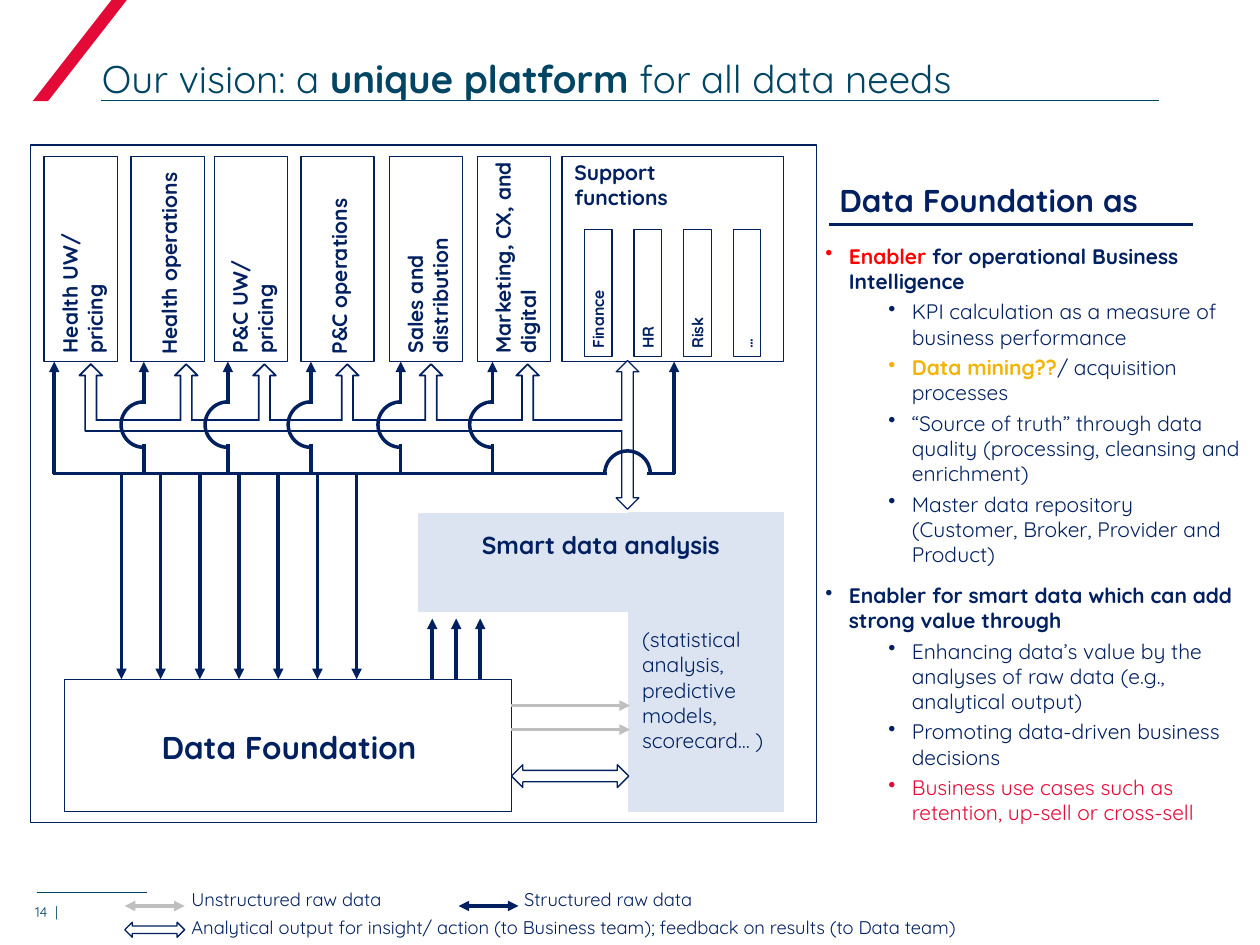
from dataclasses import dataclass
from typing import NamedTuple

from lxml.etree import SubElement
from pptx import Presentation
from pptx.dml.color import RGBColor
from pptx.enum.shapes import MSO_CONNECTOR, MSO_SHAPE as Preset
from pptx.enum.text import MSO_ANCHOR as Anchor, MSO_AUTO_SIZE as AutoSize, PP_ALIGN as Align
from pptx.oxml.ns import qn
from pptx.util import Pt


@dataclass(frozen=True)
class Theme:
    font: str = "Quicksand"
    teal: str = "004563"
    navy: str = "002060"
    crimson: str = "E40A38"
    red: str = "FF0000"
    amber: str = "F1B407"
    grey: str = "BFBFBF"
    pale: str = "DBE4F0"
    white: str = "FFFFFF"
    title: float = 22
    heading: float = 18
    subheading: float = 14
    body: float = 12
    legend: float = 10.5
    small: float = 9
    footer: float = 8


class Box(NamedTuple):
    left: float
    top: float
    width: float
    height: float


class Span(NamedTuple):
    text: str
    bold: bool = False
    color: str = Theme.navy


class Bullet(NamedTuple):
    level: int
    spans: list[Span]
    before: float = 0


class Column(NamedTuple):
    """A business function; the x values place its box and its two arrows."""
    name: str
    left: float
    raw_x: float
    output_left: float
    label_height: float


THEME = Theme()
COLUMNS = [
    Column("Health UW/ \vpricing", 25.2, 31, 45.4, 40.3),
    Column("Health operations", 74.9, 82.2, 99.9, 24.5),
    Column("P&C UW/ \vpricing", 122.4, 130.2, 144.6, 40.3),
    Column("P&C operations", 172, 177.7, 192, 24.5),
    Column("Sales and distribution", 222.5, 229, 239.8, 40.3),
    Column("Marketing, CX, and digital", 272.7, 281.4, 295, 40.3),
]
SUPPORT = ["Finance", "HR", "Risk", "…"]
BULLETS = [
    Bullet(0, [Span("Enabler", True, THEME.red),
               Span(" for operational Business Intelligence", True)]),
    Bullet(1, [Span("KPI calculation as a measure of business performance")]),
    Bullet(1, [Span("Data mining??", True, THEME.amber), Span("/ acquisition processes")]),
    Bullet(1, [Span("“Source of truth” through data quality "
                    "(processing, cleansing and enrichment)")]),
    Bullet(1, [Span("Master data repository (Customer, Broker, Provider and Product)")]),
    Bullet(0, [Span("Enabler for smart data which can add strong value through", True)], 6),
    Bullet(1, [Span("Enhancing data’s value by the analyses of raw data "
                    "(e.g., analytical output)")]),
    Bullet(1, [Span("Promoting data-driven business decisions")]),
    Bullet(1, [Span("Business use cases such as retention, up-sell or cross-sell",
                    color=THEME.crimson)]),
]
BUS_Y = 270.7
FUNCTION_BOTTOM = 206.7
FOUNDATION_TOP = 388.1

deck = Presentation()
deck.slide_width, deck.slide_height = Pt(720), Pt(540)
page = deck.slides.add_slide(deck.slide_layouts[6])


def rgb(color: str) -> RGBColor:
    return RGBColor.from_string(color)


def draw(preset, box: Box, fill: str | None = None, line: str | None = None,
         weight: float = 0.75):
    shape = page.shapes.add_shape(preset, *map(Pt, box))
    shape.shadow.inherit = False
    if fill:
        shape.fill.solid()
        shape.fill.fore_color.rgb = rgb(fill)
    else:
        shape.fill.background()
    if line:
        shape.line.color.rgb = rgb(line)
        shape.line.width = Pt(weight)
    else:
        shape.line.fill.background()
    return shape


def cover(box: Box) -> None:
    """White patch that interrupts a line."""
    draw(Preset.RECTANGLE, box, THEME.white, THEME.white)


def connect(x1: float, y1: float, x2: float, y2: float, color: str = THEME.navy,
            weight: float = 2, ends: tuple[str, ...] = ()) -> None:
    """Line with a triangle at each of ends (headEnd is the start, tailEnd the finish)."""
    line = page.shapes.add_connector(MSO_CONNECTOR.STRAIGHT, *map(Pt, (x1, y1, x2, y2)))
    line.line.color.rgb = rgb(color)
    line.line.width = Pt(weight)
    for end in ends:
        SubElement(line.line._get_or_add_ln(), qn(f"a:{end}"), type="triangle")
    SubElement(line._element.spPr, qn("a:effectLst"))


def arrow(x1: float, y1: float, x2: float, y2: float, color: str = THEME.navy) -> None:
    connect(x1, y1, x2, y2, color, ends=("tailEnd",))


def style(span, size: float, color: str, bold: bool) -> None:
    span.font.name, span.font.size, span.font.bold = THEME.font, Pt(size), bold
    span.font.color.rgb = rgb(color)


def fill_para(para, spans: list[Span], size: float) -> None:
    for item in spans:
        span = para.add_run()
        span.text = item.text
        style(span, size, item.color, item.bold)


def label(text: str, box: Box, size: float, bold: bool = True, align=Align.LEFT,
          rotation: float = 0) -> None:
    shape = draw(Preset.ROUNDED_RECTANGLE, box)
    shape.rotation = rotation
    frame = shape.text_frame
    frame.word_wrap, frame.auto_size = True, AutoSize.SHAPE_TO_FIT_TEXT
    frame.vertical_anchor = Anchor.TOP
    frame.margin_left = frame.margin_right = 0
    frame.text = text
    para = frame.paragraphs[0]
    para.alignment, para.space_after = align, Pt(9)
    for span in para.runs:
        style(span, size, THEME.navy, bold)


def upright_label(text: str, center_x: float, center_y: float, length: float,
                  height: float, size: float) -> None:
    box = Box(center_x - length / 2, center_y - height / 2, length, height)
    label(text, box, size, rotation=270)


def text_box(box: Box, margin: float = 0):
    frame = page.shapes.add_textbox(*map(Pt, box)).text_frame
    frame.word_wrap = True
    frame.margin_left = frame.margin_right = Pt(margin)
    frame.margin_top = frame.margin_bottom = Pt(margin / 2)
    return frame


def hop(x: float, y: float, rotation: float) -> None:
    """Half circle that carries a line over another one."""
    arc = draw(Preset.ARC, Box(x - 13, y - 13, 26, 26), line=THEME.navy, weight=2)
    arc.adjustments[0], arc.adjustments[1] = 106.18, 0
    arc.rotation = rotation


def draw_header() -> None:
    connect(20.9, 509.8, 84.2, 509.8, THEME.teal, 0.5)
    slash = draw(Preset.PARALLELOGRAM, Box(18.7, -1.2, 54.7, 59), THEME.crimson)
    slash.adjustments[0] = 0.84
    connect(57.6, 57.6, 662.4, 57.6, THEME.teal, 0.5)
    number = text_box(Box(4.3, 512.6, 38.2, 16.6), 7.2).paragraphs[0]
    number.alignment = Align.RIGHT
    fill_para(number, [Span("14  | ", color=THEME.teal)], THEME.footer)
    title = text_box(Box(58.3, 31, 604.8, 26.6))
    title.vertical_anchor = Anchor.BOTTOM
    fill_para(title.paragraphs[0], [Span("Our vision: a ", color=THEME.teal),
                                    Span("unique platform ", True, THEME.teal),
                                    Span("for all data needs", color=THEME.teal)], THEME.title)


def draw_platform() -> None:
    connect(30.2, BUS_Y, 385.9, BUS_Y)
    cover(Box(347, 268.6, 22.3, 5))
    draw(Preset.RECTANGLE, Box(17.3, 82.8, 449.3, 387.4), line=THEME.navy)
    draw(Preset.RECTANGLE, Box(36.7, FOUNDATION_TOP, 255.6, 75.6), line=THEME.navy)
    label("Data Foundation", Box(48.2, 411.1, 234, 32.4), THEME.heading, align=Align.CENTER)
    for block in (Box(359.3, 293, 88.6, 170.6), Box(239.4, 293.4, 140.4, 56.2)):
        draw(Preset.RECTANGLE, block, THEME.pale, THEME.pale)
    label("Smart data analysis", Box(241.2, 298.1, 204.5, 26.6), THEME.subheading,
          align=Align.CENTER)
    label("(statistical analysis, predictive models, scorecard… )",
          Box(362.9, 350.6, 82.1, 101.5), THEME.body, bold=False)
    for y in (403.2, 416.9):
        arrow(292.3, y, 360, y, THEME.grey)
    draw(Preset.LEFT_RIGHT_ARROW, Box(292.3, 437, 67, 13), THEME.white, THEME.navy)
    for i in range(3):
        arrow(247 + 13.7 * i, FOUNDATION_TOP, 247 + 13.7 * i, 353.5)
    for i in range(7):
        arrow(69.4 + 22.4 * i, BUS_Y, 69.4 + 22.4 * i, FOUNDATION_TOP)


def draw_functions() -> None:
    for column in COLUMNS:
        draw(Preset.RECTANGLE, Box(column.left, 89.3, 41.8, 117.4), THEME.white, THEME.navy)
        upright_label(column.name, column.left + 21.9, 146.9, 113.8,
                      column.label_height, THEME.body)
    draw(Preset.RECTANGLE, Box(321.1, 89.3, 126.7, 117.4), THEME.white, THEME.navy)
    label("Support \vfunctions", Box(326.2, 85.7, 157.7, 40.3), THEME.body)
    for i, name in enumerate(SUPPORT):
        center_x = 341.8 + 28.35 * i
        draw(Preset.RECTANGLE, Box(center_x - 7.9, 131.1, 15.8, 72.7), THEME.white, THEME.navy)
        upright_label(name, center_x, 165.6, 69.1, 20.2, THEME.small)


def draw_flows() -> None:
    for x in [column.raw_x for column in COLUMNS] + [385.2]:
        arrow(x, BUS_Y, x, FUNCTION_BOTTOM)
    for column in COLUMNS[1:]:
        hop(column.raw_x, 242.6, 270)
        cover(Box(column.raw_x - 2.5, 231.1, 5, 22.3))
    draw(Preset.UP_DOWN_ARROW, Box(352.1, 206, 13, 85), THEME.white, THEME.navy)
    hop(358.6, BUS_Y, 0)
    connect(55.4, 239.8, 355, 239.8, weight=1.25)
    connect(51.8, 246.2, 355, 246.2, weight=1.25)
    cover(Box(347, 241.2, 9.4, 4.3))
    for i, column in enumerate(COLUMNS):
        draw(Preset.UP_ARROW, Box(column.output_left, 208.1, 13, 35.3 if i else 38.2),
             THEME.white, THEME.navy, 1)
        cover(Box(column.output_left, 241.2, 13, 3.6) if i else Box(54.7, 241.2, 7.9, 4.3))


def draw_legend() -> None:
    for x, color in ((71.3, THEME.grey), (262.1, THEME.navy)):
        connect(x, 517.7, x + 34.2, 517.7, color, ends=("headEnd", "tailEnd"))
    draw(Preset.LEFT_RIGHT_ARROW, Box(71.3, 527, 34.2, 8.6), THEME.white, THEME.navy)
    for text, box in (
        ("Unstructured raw data", Box(109.4, 507.6, 139.7, 13)),
        ("Structured raw data", Box(299.5, 507.6, 139.7, 13)),
        ("Analytical output for insight/ action (to Business team); "
         "feedback on results (to Data team)", Box(109.4, 523.4, 550.8, 13)),
    ):
        fill_para(text_box(box).paragraphs[0], [Span(text)], THEME.legend)


def draw_benefits() -> None:
    label("Data Foundation as", Box(478.1, 98.6, 176.4, 32.4), THEME.heading)
    connect(473.8, 128.2, 681.8, 128.2, weight=1.75)
    frame = text_box(Box(471.6, 139, 237.6, 335.5))
    for i, bullet in enumerate(BULLETS):
        para = frame.add_paragraph() if i else frame.paragraphs[0]
        para.level = bullet.level
        para.space_before, para.space_after = Pt(bullet.before), Pt(3)
        props = para._p.get_or_add_pPr()
        props.set("marL", str(Pt(13.5 + 36 * bullet.level)))
        props.set("indent", str(-Pt(13.5)))
        SubElement(props, qn("a:buChar"), char="•")
        fill_para(para, bullet.spans, THEME.body)


if __name__ == "__main__":
    draw_header()
    draw_platform()
    draw_functions()
    draw_flows()
    draw_legend()
    draw_benefits()
    deck.save("out.pptx")
